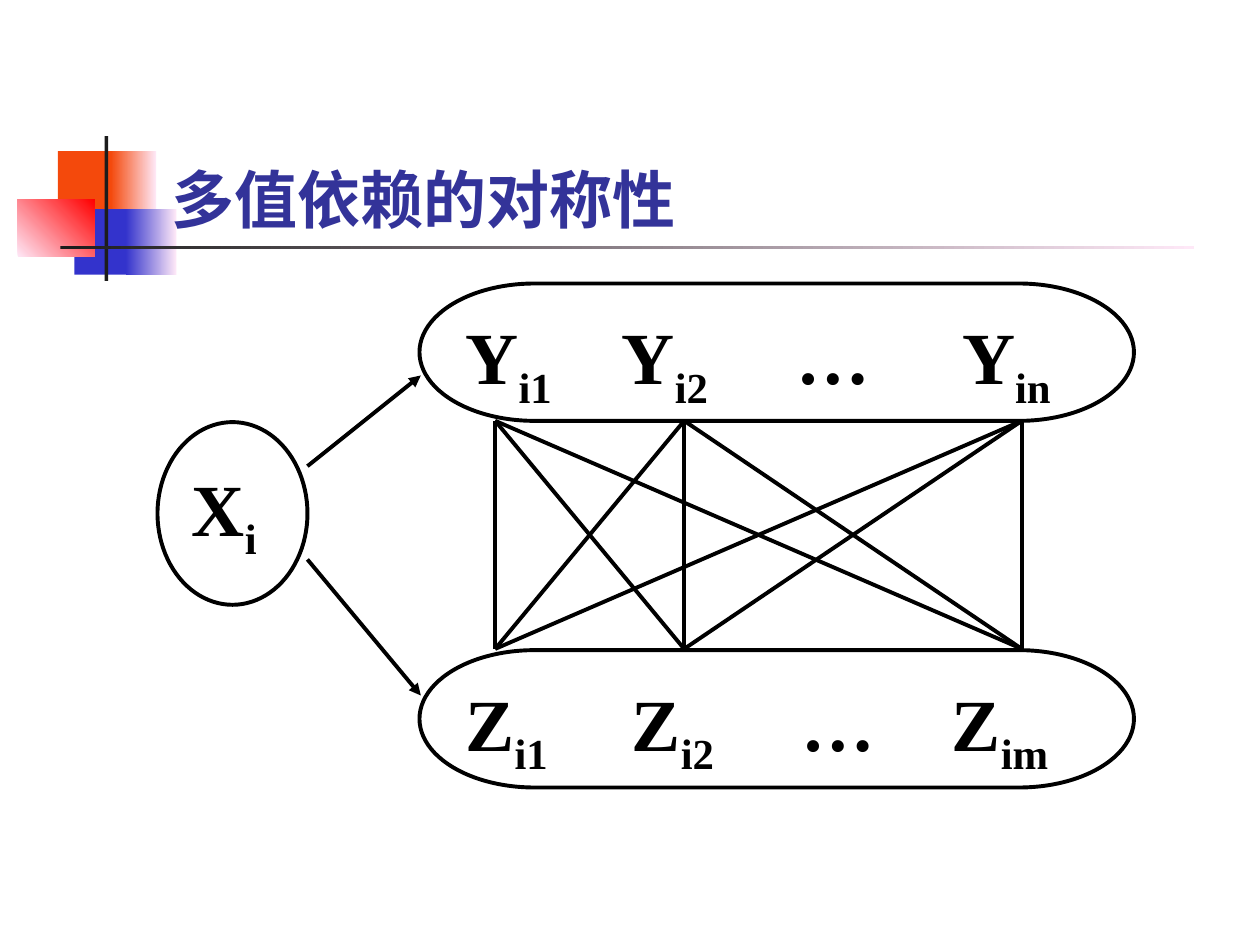
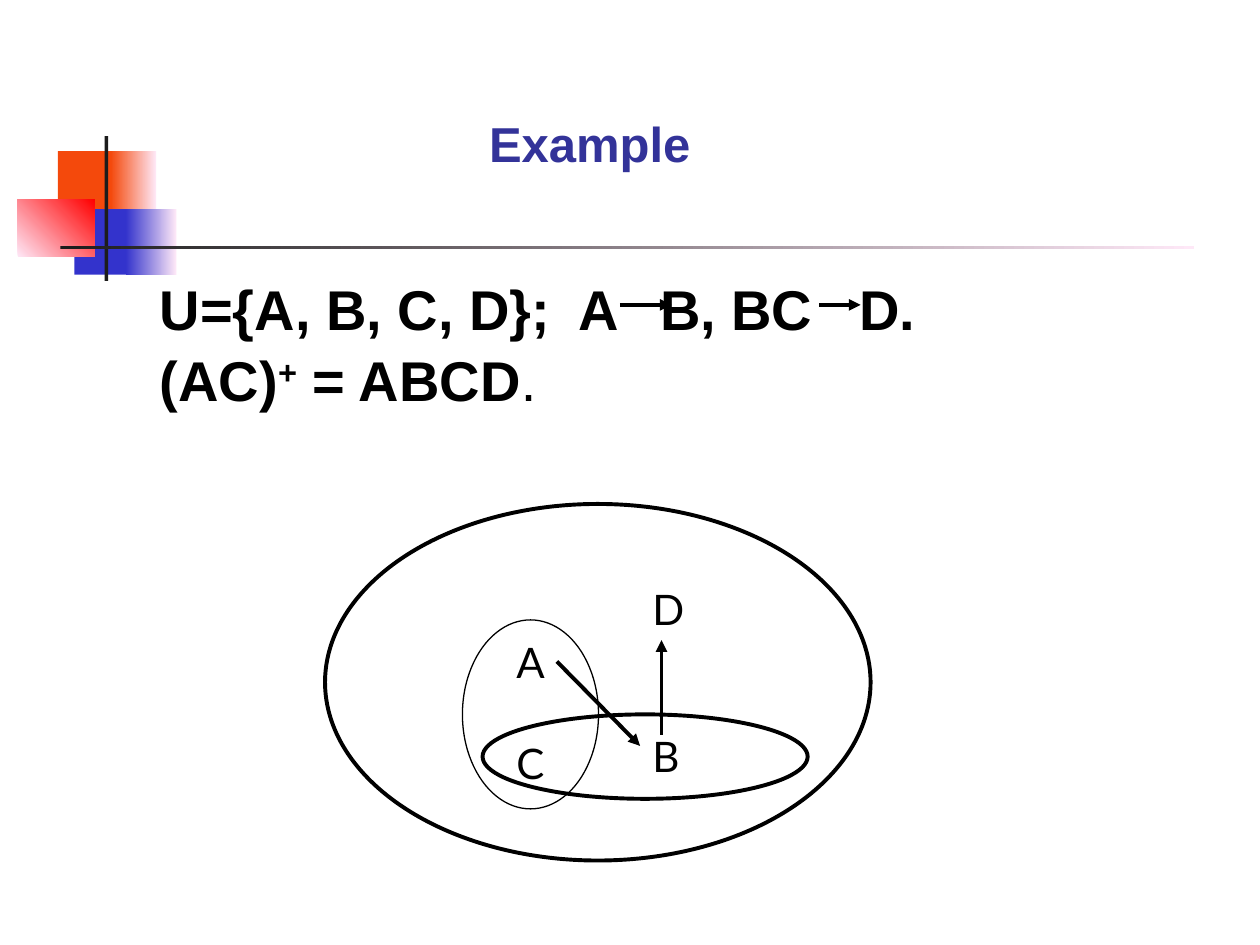
from itertools import product

from lxml import etree
from pptx import Presentation
from pptx.dml.color import RGBColor
from pptx.enum.shapes import MSO_CONNECTOR, MSO_SHAPE
from pptx.enum.text import MSO_ANCHOR, PP_ALIGN
from pptx.oxml.ns import qn
from pptx.util import Inches, Pt

RECTANGLE = MSO_SHAPE.RECTANGLE
OVAL = MSO_SHAPE.OVAL
TERMINATOR = MSO_SHAPE.FLOWCHART_TERMINATOR
STRAIGHT = MSO_CONNECTOR.STRAIGHT
TOP, BOTTOM = MSO_ANCHOR.TOP, MSO_ANCHOR.BOTTOM
LEFT, CENTER = PP_ALIGN.LEFT, PP_ALIGN.CENTER

BLACK, WHITE, CHARCOAL = "000000", "FFFFFF", "1C1C1C"
ORANGE, BLUE, RED, PINK = "F4490C", "3333CC", "FF0000", "FEE8F7"
TITLE_COLOR = "333399"
SERIF, SANS, LABEL_FONT = "Times New Roman", "Arial", "Lato"
THICK, THIN = 2.25, 0.75
SUB, SUPER = -25, 30

presentation = Presentation()
presentation.slide_width, presentation.slide_height = Inches(10), Inches(7.5)
UNIT = presentation.slide_width // 10  # the grid has 10 columns and 7.5 rows
blank_layout = presentation.slide_layouts[6]
symmetry_slide = presentation.slides.add_slide(blank_layout)
example_slide = presentation.slides.add_slide(blank_layout)


def grid(*cells):
    """Turn grid columns and rows into slide lengths."""
    return [round(cell * UNIT) for cell in cells]


def write(paragraph, runs, font_name, size, color, bold, tab_stops=()):
    """Fill a paragraph with (text, baseline percent) runs and left tab stops."""
    if tab_stops:
        tab_list = etree.SubElement(paragraph._p.get_or_add_pPr(), qn("a:tabLst"))
        for stop in tab_stops:
            etree.SubElement(tab_list, qn("a:tab"), pos=str(grid(stop)[0]), algn="l")
    for text, baseline in runs:
        run = paragraph.add_run()
        run.text = text
        run.font.name, run.font.size, run.font.bold = font_name, Pt(size), bold
        run.font.color.rgb = RGBColor.from_string(color)
        if baseline:
            run._r.get_or_add_rPr().set("baseline", str(baseline * 1000))


# Shared corner blocks and rules: box, first colour, last colour, angle
decorations = [
    ((0.46, 1.2, 0.48, 0.52), ORANGE, None, 0),
    ((0.88, 1.2, 0.36, 0.52), ORANGE, PINK, 0),
    ((0.59, 1.66, 0.46, 0.52), BLUE, None, 0),
    ((1, 1.66, 0.4, 0.52), BLUE, PINK, 0),
    ((0.14, 1.58, 0.61, 0.46), PINK, RED, 45),
    ((0.83, 1.08, 0.03, 1.15), CHARCOAL, None, 0),
    ((0.48, 1.95, 9, 0.03), CHARCOAL, PINK, 0),
]
for slide, (box, first, last, angle) in product(presentation.slides, decorations):
    shape = slide.shapes.add_shape(RECTANGLE, *grid(*box))
    shape.shadow.inherit = False
    shape.line.fill.background()
    if last:
        shape.fill.gradient()
        shape.fill.gradient_angle = angle
        for stop, color, position in zip(shape.fill.gradient_stops, (first, last), (0, 1)):
            stop.color.rgb = RGBColor.from_string(color)
            stop.position = position
    else:
        shape.fill.solid()
        shape.fill.fore_color.rgb = RGBColor.from_string(first)

# Titles
titles = [
    (symmetry_slide, (1.26, 0.67, 8.52, 1.25), "多值依赖的对称性", LABEL_FONT, 36, LEFT),
    (example_slide, (0.42, 0.5, 8.52, 0.92), "Example", SANS, 28, CENTER),
]
for slide, box, title, font_name, size, alignment in titles:
    frame = slide.shapes.add_textbox(*grid(*box)).text_frame
    frame.word_wrap = True
    frame.vertical_anchor = BOTTOM
    frame.paragraphs[0].alignment = alignment
    write(frame.paragraphs[0], [(title, 0)], font_name, size, TITLE_COLOR, True)

# Value sets: shape, box, top inset, runs, tab stops
value_sets = [
    (OVAL, (1.25, 3.35, 1.19, 1.45), 0.11, [("X", 0), ("i", SUB)], ()),
    (TERMINATOR, (3.33, 5.16, 5.67, 1.09), 0.06,
     [("Z", 0), ("i1", SUB), ("\tZ", 0), ("i2", SUB), ("\t…\tZ", 0), ("im", SUB)],
     (1.32, 2.67, 3.86)),
    (TERMINATOR, (3.33, 2.25, 5.67, 1.09), 0.06,
     [("Y", 0), ("i1", SUB), ("\tY", 0), ("i2", SUB), ("\t…\tY", 0), ("in", SUB)],
     (1.24, 2.63, 3.94)),
]
# Attribute sets
attribute_sets = [
    ((2.58, 4, 4.33, 2.83), THICK),
    ((3.67, 4.92, 1.08, 1.5), THIN),
    ((3.83, 5.67, 2.58, 0.67), THICK),
]
outlines = [(symmetry_slide, kind, box, THICK, inset, runs, stops)
            for kind, box, inset, runs, stops in value_sets]
outlines += [(example_slide, OVAL, box, weight, 0, [], ())
             for box, weight in attribute_sets]
for slide, kind, box, weight, inset, runs, stops in outlines:
    shape = slide.shapes.add_shape(kind, *grid(*box))
    shape.shadow.inherit = False
    shape.line.color.rgb = RGBColor.from_string(BLACK)
    shape.line.width = Pt(weight)
    if not runs:
        shape.fill.background()
        continue
    shape.fill.solid()
    shape.fill.fore_color.rgb = RGBColor.from_string(WHITE)
    frame = shape.text_frame
    frame.vertical_anchor = TOP
    frame.margin_top = grid(inset)[0]
    frame.paragraphs[0].alignment = LEFT
    write(frame.paragraphs[0], runs, SERIF, 42, BLACK, True, stops)

# Attribute labels: box, letters, gap between letters in points
labels = [
    ((4, 5, 0.42, 1.3), "AC", 29),
    ((5.08, 4.58, 0.44, 0.5), "D", 0),
    ((5.08, 5.75, 0.41, 0.5), "B", 0),
]
for box, letters, gap in labels:
    frame = example_slide.shapes.add_textbox(*grid(*box)).text_frame
    frame.word_wrap = len(letters) > 1
    for index, letter in enumerate(letters):
        paragraph = frame.add_paragraph() if index else frame.paragraphs[0]
        if index:
            paragraph.space_before = Pt(gap)
        write(paragraph, [(letter, 0)], LABEL_FONT, 24, BLACK, False)

# Dependencies and closure
frame = example_slide.shapes.add_textbox(*grid(1.17, 2.08, 8.33, 1.17)).text_frame
frame.word_wrap = True
frame.margin_top = grid(0.1)[0]
write(frame.paragraphs[0], [("U={A, B, C, D};\tA\tB, BC\tD.", 0)],
      SANS, 32, BLACK, True, (3.32, 3.97, 5.55))
closure = frame.add_paragraph()
closure.space_before = Pt(2)
write(closure, [("(AC)", 0), ("+", SUPER), (" = ABCD", 0)], SANS, 32, BLACK, True)
write(closure, [(".", 0)], SANS, 32, BLACK, False)

# Lines: slide, start, end, arrowhead
value_columns = (3.93, 5.43, 8.11)
lines = [(symmetry_slide, (upper, 3.34), (lower, 5.15), False)
         for upper, lower in product(value_columns, repeat=2)]
lines += [
    (symmetry_slide, (2.44, 3.7), (3.34, 2.98), True),
    (symmetry_slide, (2.44, 4.44), (3.34, 5.52), True),
    (example_slide, (4.42, 5.25), (5.08, 5.92), True),
    (example_slide, (5.25, 5.83), (5.25, 5.08), True),
    (example_slide, (4.92, 2.42), (5.33, 2.42), True),
    (example_slide, (6.5, 2.42), (6.83, 2.42), True),
]
for slide, start, end, arrow in lines:
    connector = slide.shapes.add_connector(STRAIGHT, *grid(*start, *end))
    connector.line.color.rgb = RGBColor.from_string(BLACK)
    connector.line.width = Pt(THICK)
    if arrow:
        etree.SubElement(connector.line._get_or_add_ln(), qn("a:tailEnd"), type="triangle")
    etree.SubElement(connector._element.spPr, qn("a:effectLst"))

presentation.save("out.pptx")
